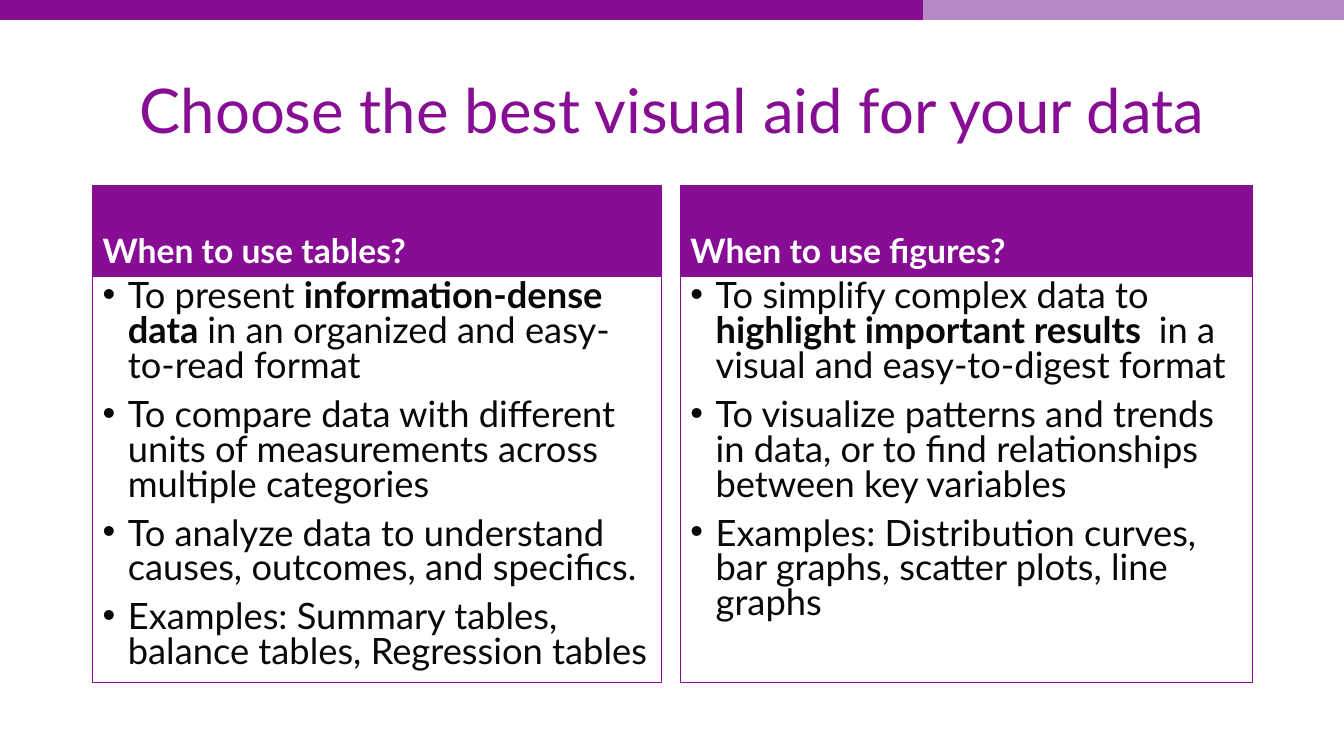
from dataclasses import dataclass

from lxml import etree
from pptx import Presentation
from pptx.dml.color import RGBColor
from pptx.enum.shapes import MSO_SHAPE
from pptx.enum.text import MSO_ANCHOR, MSO_AUTO_SIZE, PP_ALIGN
from pptx.oxml.ns import qn
from pptx.util import Inches, Pt


@dataclass(frozen=True)
class Theme:
    font: str = "Lato"
    purple: RGBColor = RGBColor(0x88, 0x0D, 0x95)
    lilac: RGBColor = RGBColor(0xB7, 0x88, 0xC6)
    white: RGBColor = RGBColor(0xFF, 0xFF, 0xFF)
    ink: RGBColor = RGBColor(0x08, 0x08, 0x08)
    title_size: float = 44
    header_size: float = 24
    body_size: float = 25.9
    line_width: float = 0.75
    paragraph_gap: float = 10


THEME = Theme()
TITLE = "Choose the best visual aid for your data"
BAND_SPLIT = 9.15
HEADER_TOP, HEADER_HEIGHT, LIST_HEIGHT = 1.84, 0.9, 4.03

# Each column: left, width, header, points; a point is a list of (text, bold) runs.
COLUMNS = [
    (0.92, 5.64, "When to use tables?", [
        [("To present ", False), ("information-dense data ", True),
         ("in an organized and easy-to-read format", False)],
        [("To compare data with different units of measurements across "
          "multiple categories", False)],
        [("To analyze data to understand causes, outcomes, and specifics.", False)],
        [("Examples: Summary tables, balance tables, Regression tables", False)],
    ]),
    (6.75, 5.67, "When to use figures?", [
        [("To simplify complex data to ", False),
         ("highlight important results  ", True),
         ("in a visual and easy-to-digest format", False)],
        [("To visualize patterns and trends in data, or to find relationships "
          "between key variables", False)],
        [("Examples: Distribution curves, bar graphs, scatter plots, line graphs",
          False)],
    ]),
]


def add_bullet(paragraph):
    properties = paragraph._p.get_or_add_pPr()
    properties.set("marL", str(Inches(0.25)))
    properties.set("indent", str(Inches(-0.25)))
    etree.SubElement(properties, qn("a:buFont")).set("typeface", "Arial")
    etree.SubElement(properties, qn("a:buChar")).set("char", "•")


def write_text(frame, paragraphs, *, size, color, anchor=MSO_ANCHOR.TOP,
               align=PP_ALIGN.LEFT, line_spacing=0.9, bulleted=False):
    """Fill a text frame with paragraphs given as lists of (text, bold) runs."""
    frame.word_wrap = True
    frame.auto_size = MSO_AUTO_SIZE.NONE
    frame.vertical_anchor = anchor
    for index, runs in enumerate(paragraphs):
        paragraph = frame.add_paragraph() if index else frame.paragraphs[0]
        if bulleted:
            add_bullet(paragraph)
        paragraph.alignment = align
        paragraph.line_spacing = line_spacing
        paragraph.space_before = Pt(THEME.paragraph_gap if index else 0)
        for text, bold in runs:
            run = paragraph.add_run()
            run.text = text
            run.font.name = THEME.font
            run.font.size = Pt(size)
            run.font.bold = bold
            run.font.color.rgb = color


def add_box(slide, left, top, width, height, *, fill=None, line=THEME.purple):
    box = slide.shapes.add_shape(MSO_SHAPE.RECTANGLE, Inches(left), Inches(top),
                                 Inches(width), Inches(height))
    box.shadow.inherit = False
    if fill is None:
        box.fill.background()
    else:
        box.fill.solid()
        box.fill.fore_color.rgb = fill
    box.line.color.rgb = line
    box.line.width = Pt(THEME.line_width)
    return box


def add_top_band(slide):
    for left, right, color in ((BAND_SPLIT, 13.33, THEME.lilac),
                               (0, BAND_SPLIT, THEME.purple)):
        add_box(slide, left, -0.01, right - left, 0.2, fill=color, line=color)


def set_title(slide):
    title = slide.shapes.title
    title.left, title.top = Inches(0.92), Inches(0.4)
    title.width, title.height = Inches(11.5), Inches(1.45)
    write_text(title.text_frame, [[(TITLE, False)]], size=THEME.title_size,
               color=THEME.purple, anchor=MSO_ANCHOR.MIDDLE, align=PP_ALIGN.CENTER)


def add_column(slide, left, width, header, points):
    header_box = add_box(slide, left, HEADER_TOP, width, HEADER_HEIGHT,
                         fill=THEME.purple)
    write_text(header_box.text_frame, [[(header, True)]], size=THEME.header_size,
               color=THEME.white, anchor=MSO_ANCHOR.BOTTOM)
    list_box = add_box(slide, left, HEADER_TOP + HEADER_HEIGHT, width, LIST_HEIGHT)
    write_text(list_box.text_frame, points, size=THEME.body_size, color=THEME.ink,
               line_spacing=0.8, bulleted=True)


def main():
    deck = Presentation()
    deck.slide_width, deck.slide_height = Inches(13.33), Inches(7.5)
    slide = deck.slides.add_slide(deck.slide_layouts.get_by_name("Title Only"))
    add_top_band(slide)
    set_title(slide)
    for column in COLUMNS:
        add_column(slide, *column)
    deck.save("out.pptx")


if __name__ == "__main__":
    main()
